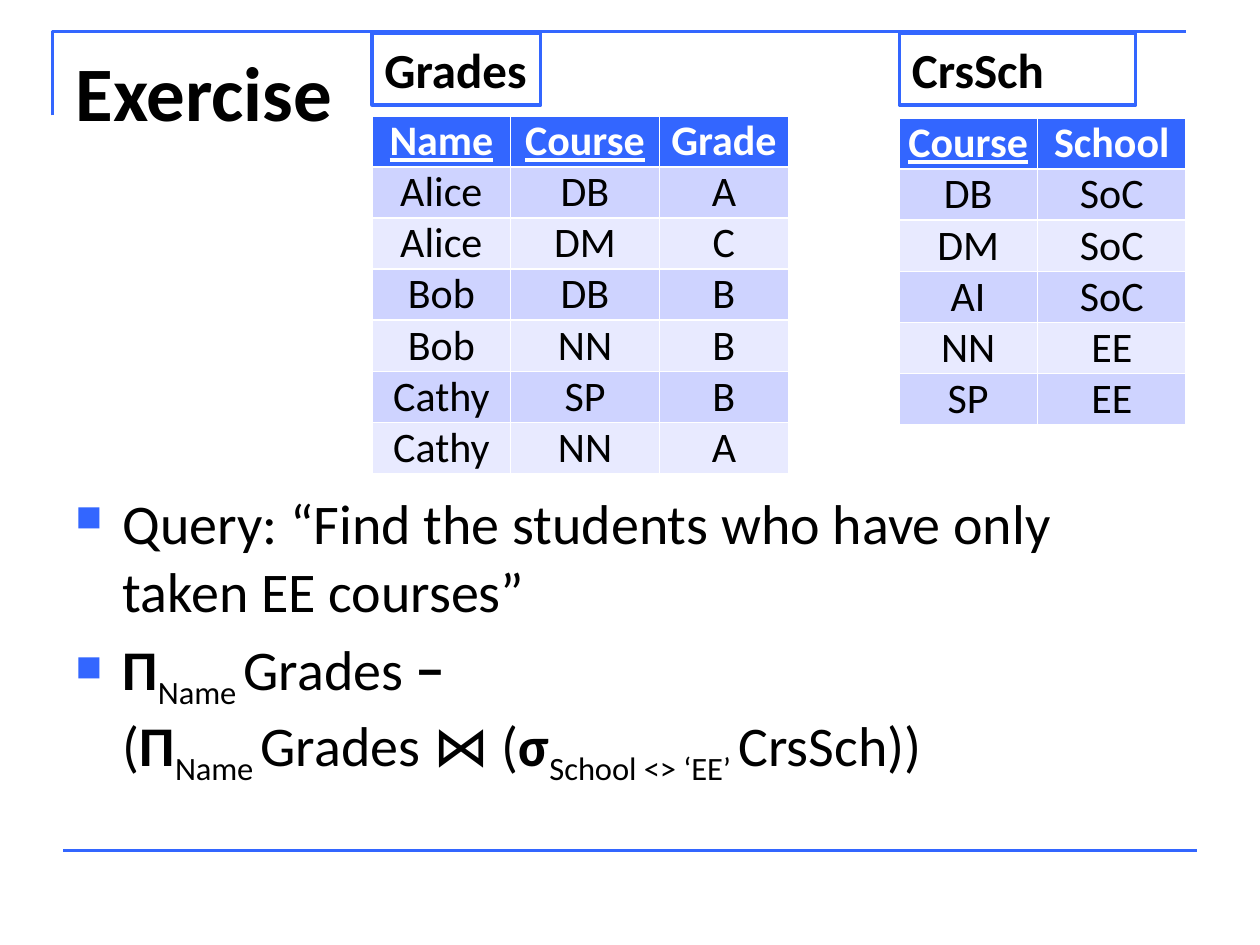
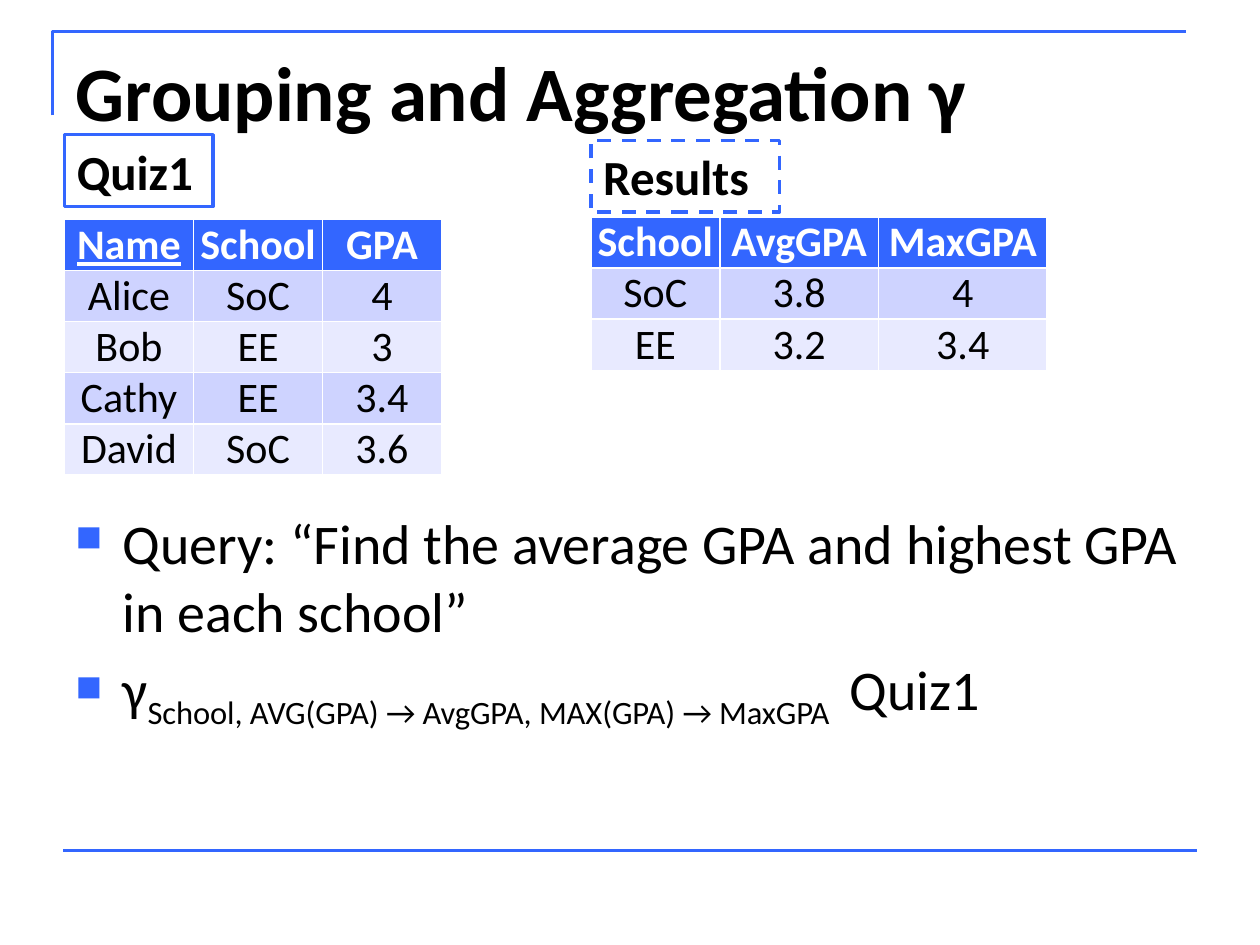
from lxml import etree
from pptx import Presentation
from pptx.dml.color import RGBColor
from pptx.enum import dml, shapes, text
from pptx.oxml import ns
from pptx.util import Pt

BLUE, BLACK, WHITE = "3366FF", "000000", "FFFFFF"
BANDS = ["CED3FF", "E8EAFF"]
FONT = "Calibri"
ROW_HEIGHT = 29.2
LABEL_HEIGHT = 41

# Table: left, top, column widths, underlined key columns, rows
# Label: text, left, top, width, dashed
# Bullet: pieces of text, each with its style
SLIDES = [
    {
        "title": "Exercise",
        "tables": [
            (212.6, 66.2, [79.2, 85, 73.8], ["Name", "Course"],
             ["Name Course Grade", "Alice DB A", "Alice DM C", "Bob DB B",
              "Bob NN B", "Cathy SP B", "Cathy NN A"]),
            (513.6, 67.4, [79.2, 85], ["Course"],
             ["Course School", "DB SoC", "DM SoC", "AI SoC", "NN EE", "SP EE"]),
        ],
        "labels": [("Grades", 212.6, 19, 96.4, False),
                   ("CrsSch", 514, 19, 135, False)],
        "body_top": 275.8,
        "bullets": [
            [("Query: “Find the students who have only taken EE courses”", "plain")],
            [("Π", "bold"), ("Name ", "subscript"), ("Grades ", "plain"),
             ("− ", "bold"), ("", "break"), ("(", "plain"), ("Π", "bold"),
             ("Name ", "subscript"), ("Grades ⋈ (", "plain"), ("σ", "bold"),
             ("School <> ‘EE’ ", "subscript"), ("CrsSch))", "plain")],
        ],
    },
    {
        "title": "Grouping and Aggregation γ",
        "tables": [
            (36.8, 125.4, [73.8, 73.8, 67.8], ["Name"],
             ["Name School GPA", "Alice SoC 4", "Bob EE 3", "Cathy EE 3.4",
              "David SoC 3.6"]),
            (337.6, 124, [73.8, 90.6, 96.4], [],
             ["School AvgGPA MaxGPA", "SoC 3.8 4", "EE 3.2 3.4"]),
        ],
        "labels": [("Quiz1", 36.8, 77, 85, False),
                   ("Results", 337.6, 80.2, 107.8, True)],
        "body_top": 287.3,
        "bullets": [
            [("Query: “Find the average GPA and highest GPA in each school”", "plain")],
            [("γ", "plain"),
             ("School, AVG(GPA) → AvgGPA, MAX(GPA) → MaxGPA ", "subscript"),
             (" Quiz1", "plain")],
        ],
    },
]


def rgb(value):
    return RGBColor.from_string(value)


def format_font(font, size, color=BLACK, bold=False):
    font.name, font.size, font.bold = FONT, Pt(size), bold
    font.color.rgb = rgb(color)


presentation = Presentation()
presentation.slide_width, presentation.slide_height = Pt(720), Pt(540)
title_only = presentation.slide_layouts[5]

for content in SLIDES:
    slide = presentation.slides.add_slide(title_only)

    # Corner frame and bottom rule
    builder = slide.shapes.build_freeform(Pt(30), Pt(66))
    builder.add_line_segments([(Pt(30), Pt(18)), (Pt(678), Pt(18))], close=False)
    corner = builder.convert_to_shape()
    corner.shadow.inherit = False
    corner.fill.background()
    rule = slide.shapes.add_connector(
        shapes.MSO_CONNECTOR.STRAIGHT, Pt(36), Pt(486), Pt(684), Pt(486))
    etree.SubElement(rule._element.spPr, ns.qn("a:effectLst"))
    for outline in (corner.line, rule.line):
        outline.color.rgb = rgb(BLUE)
        outline.width = Pt(1.5)

    title = slide.shapes.title
    title.left, title.top, title.width, title.height = Pt(36), Pt(21.6), Pt(648), Pt(90)
    title.text_frame.text = content["title"]
    title.text_frame.vertical_anchor = text.MSO_ANCHOR.TOP
    paragraph = title.text_frame.paragraphs[0]
    paragraph.alignment = text.PP_ALIGN.LEFT
    format_font(paragraph.runs[0].font, 44, bold=True)

    top = content["body_top"]
    body = slide.shapes.add_textbox(Pt(36), Pt(top), Pt(648), Pt(483 - top))
    body.text_frame.word_wrap = True
    for index, pieces in enumerate(content["bullets"]):
        if index == 0:
            paragraph = body.text_frame.paragraphs[0]
        else:
            paragraph = body.text_frame.add_paragraph()
            paragraph.space_before = Pt(6.4)
        properties = paragraph._p.get_or_add_pPr()
        properties.set("marL", str(Pt(27)))
        properties.set("indent", str(Pt(-27)))
        bullet_color = etree.SubElement(properties, ns.qn("a:buClr"))
        etree.SubElement(bullet_color, ns.qn("a:srgbClr"), val=BLUE)
        etree.SubElement(properties, ns.qn("a:buSzPct"), val="65000")
        etree.SubElement(properties, ns.qn("a:buChar"), char="■")
        for words, style in pieces:
            if style == "break":
                paragraph.add_line_break()
                continue
            run = paragraph.add_run()
            run.text = words
            format_font(run.font, 32, bold=style == "bold")
            if style == "subscript":
                run._r.get_or_add_rPr().set("baseline", "-25000")

    for left, top, widths, keys, rows in content["tables"]:
        table = slide.shapes.add_table(
            len(rows), len(widths), Pt(left), Pt(top),
            Pt(sum(widths)), Pt(ROW_HEIGHT * len(rows))).table
        for column, width in zip(table.columns, widths):
            column.width = Pt(width)
        for row_index, row in enumerate(rows):
            header = row_index == 0
            for column_index, value in enumerate(row.split()):
                cell = table.cell(row_index, column_index)
                cell.margin_left = cell.margin_right = 0
                cell.margin_top = cell.margin_bottom = 0
                cell.fill.solid()
                cell.fill.fore_color.rgb = rgb(BLUE if header else BANDS[(row_index - 1) % 2])
                cell.text_frame.text = value
                paragraph = cell.text_frame.paragraphs[0]
                paragraph.alignment = text.PP_ALIGN.CENTER
                font = paragraph.runs[0].font
                format_font(font, 24, WHITE if header else BLACK, header)
                if header and value in keys:
                    font.underline = True

    for name, left, top, width, dashed in content["labels"]:
        label = slide.shapes.add_shape(
            shapes.MSO_SHAPE.RECTANGLE, Pt(left), Pt(top), Pt(width), Pt(LABEL_HEIGHT))
        label.shadow.inherit = False
        label.fill.background()
        label.line.color.rgb = rgb(BLUE)
        label.line.width = Pt(2)
        if dashed:
            label.line.dash_style = dml.MSO_LINE.DASH
        label.text_frame.margin_right = 0
        label.text_frame.text = name
        paragraph = label.text_frame.paragraphs[0]
        paragraph.alignment = text.PP_ALIGN.LEFT
        format_font(paragraph.runs[0].font, 28, bold=True)

presentation.save("out.pptx")
